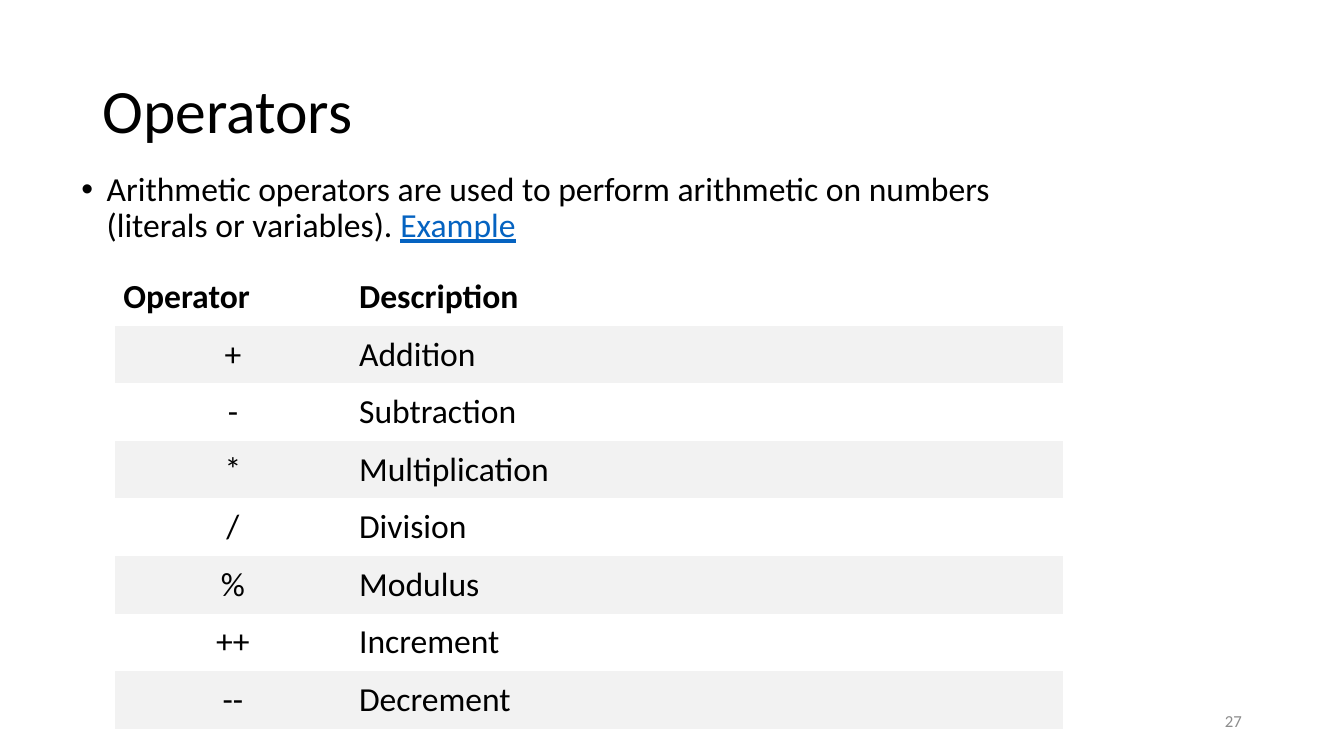
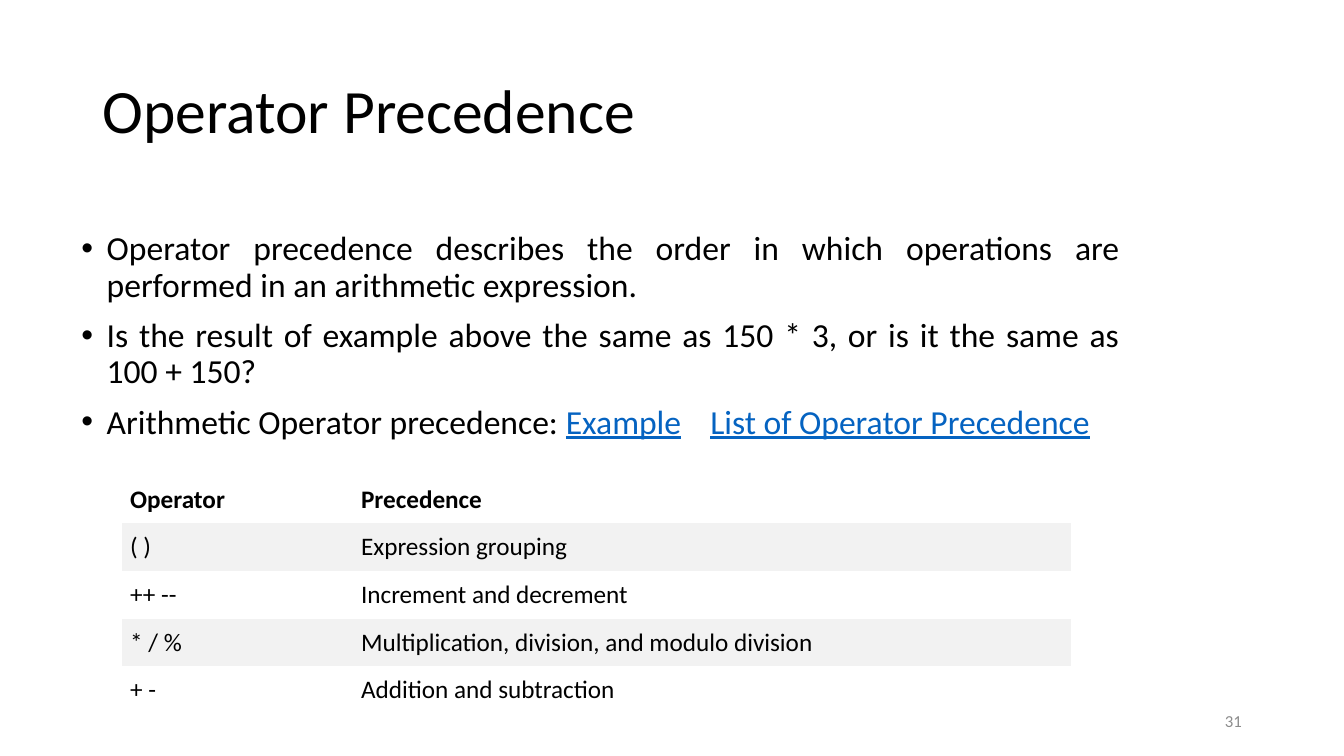
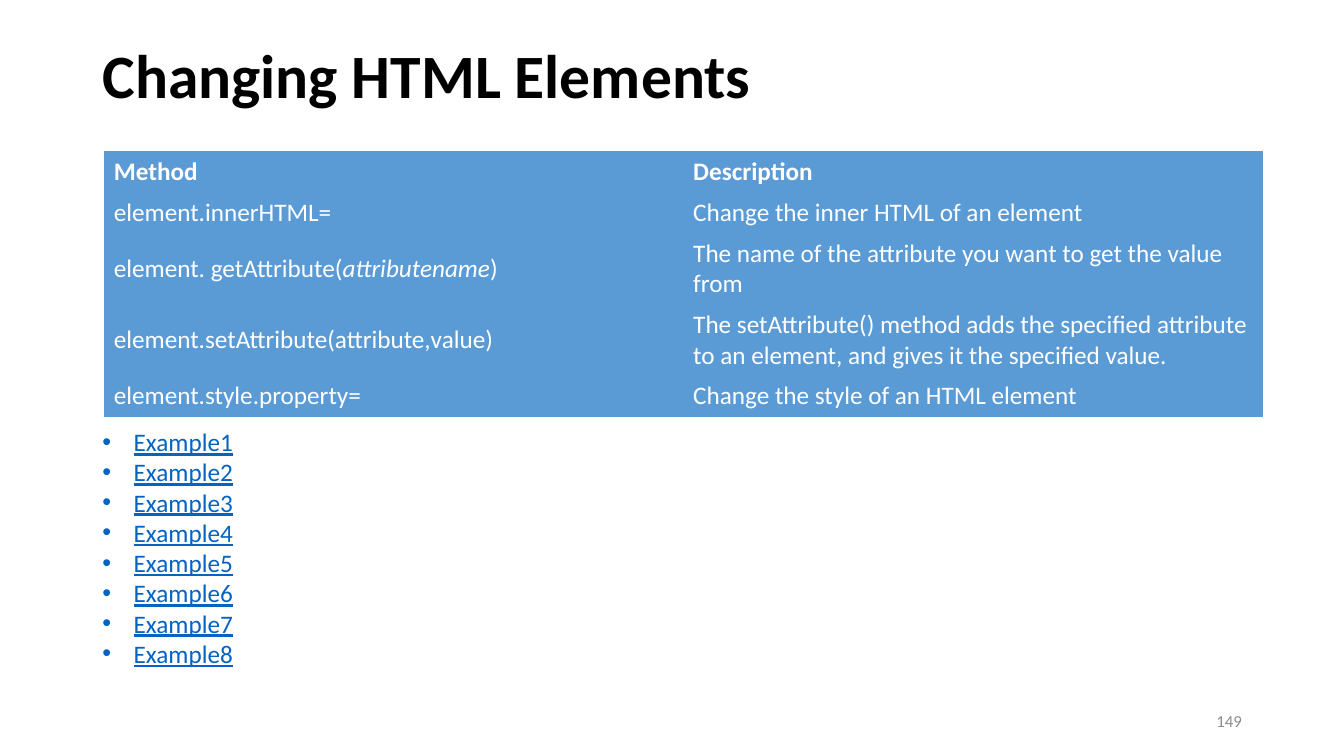
from dataclasses import dataclass
from typing import NamedTuple

import pptx
import pptx.dml.color
import pptx.enum.text
import pptx.oxml
import pptx.oxml.ns
import pptx.presentation
import pptx.slide
import pptx.text.text
import pptx.util

Cm = pptx.util.Cm
Pt = pptx.util.Pt
RGB = pptx.dml.color.RGBColor
Align = pptx.enum.text.PP_ALIGN
Anchor = pptx.enum.text.MSO_ANCHOR
qn = pptx.oxml.ns.qn


@dataclass(frozen=True)
class Theme:
    font: str = "Calibri"
    ink: RGB = RGB(0x00, 0x00, 0x00)
    paper: RGB = RGB(0xFF, 0xFF, 0xFF)
    band: RGB = RGB(0xF2, 0xF2, 0xF2)
    accent: RGB = RGB(0x5B, 0x9B, 0xD5)
    link: RGB = RGB(0x05, 0x63, 0xC1)
    muted: RGB = RGB(0x8C, 0x8C, 0x8C)
    title_size: int = 44
    large_size: int = 24
    small_size: int = 18
    number_size: int = 12
    tight: float = 0.9
    plain_table: str = "{2D5ABB26-0587-4C30-8999-92F81FD0307C}"


THEME = Theme()


class Box(NamedTuple):
    left: float
    top: float
    width: float
    height: float

    def lengths(self) -> list[pptx.util.Length]:
        return [Cm(value) for value in self]


class Span(NamedTuple):
    text: str
    link: bool = False
    italic: bool = False


Text = str | tuple[Span, ...]


@dataclass(frozen=True)
class BulletList:
    box: Box
    items: tuple[Text, ...]
    size: int = THEME.large_size
    indent: float = 0.64
    align: Align = Align.LEFT
    line_spacing: float = THEME.tight
    gap: int = 10
    tab_stop: float | None = None


@dataclass(frozen=True)
class TableSpec:
    left: float
    top: float
    columns: tuple[float, ...]
    row_heights: tuple[float, ...]
    rows: tuple[tuple[Text, ...], ...]
    size: int = THEME.small_size
    ink: RGB = THEME.ink
    fills: tuple[RGB, ...] = (THEME.paper, THEME.band)
    anchor: Anchor = Anchor.TOP
    margins: tuple[float, float] = (0.21, 0.21)
    symbol_align: Align = Align.LEFT


@dataclass(frozen=True)
class Page:
    title: str
    number: int
    table: TableSpec
    bullets: BulletList
    title_top: float = 1.01
    title_bold: bool = False


def write(paragraph: pptx.text.text._Paragraph, text: Text, size: int,
          color: RGB = THEME.ink, bold: bool = False) -> None:
    """Fill a paragraph; only links and italics are set on their runs."""
    font = paragraph.font
    font.name, font.size, font.bold = THEME.font, Pt(size), bold
    font.color.rgb = color
    for span in (Span(text),) if isinstance(text, str) else text:
        run = paragraph.add_run()
        run.text = span.text
        if span.link:
            run.font.underline = True
            run.font.color.rgb = THEME.link
        if span.italic:
            run.font.italic = True


def add_title(slide: pptx.slide.Slide, page: Page) -> None:
    title = slide.shapes.title
    title.left, title.top, title.width, title.height = Box(
        2.33, page.title_top, 29.21, 3.68).lengths()
    frame = title.text_frame
    frame.auto_size = pptx.enum.text.MSO_AUTO_SIZE.NONE
    frame.vertical_anchor = Anchor.MIDDLE
    paragraph = frame.paragraphs[0]
    paragraph.alignment = Align.LEFT
    paragraph.line_spacing = THEME.tight
    write(paragraph, page.title, THEME.title_size, bold=page.title_bold)


def add_frame(slide: pptx.slide.Slide, box: Box) -> pptx.text.text.TextFrame:
    frame = slide.shapes.add_textbox(*box.lengths()).text_frame
    frame.word_wrap = True
    return frame


def add_number(slide: pptx.slide.Slide, number: int) -> None:
    frame = add_frame(slide, Box(23.93, 17.65, 7.62, 1.01))
    frame.vertical_anchor = Anchor.MIDDLE
    paragraph = frame.paragraphs[0]
    paragraph.alignment = Align.RIGHT
    write(paragraph, str(number), THEME.number_size, THEME.muted)


def set_bullet(paragraph: pptx.text.text._Paragraph, indent: float,
               tab_stop: float | None) -> None:
    """Add a hanging bullet and, if asked for, one left tab stop."""
    properties = paragraph._p.get_or_add_pPr()
    properties.set("marL", str(Cm(indent)))
    properties.set("indent", str(-Cm(indent)))
    ns = pptx.oxml.ns.nsdecls("a")
    parts = [f'<a:buFont {ns} typeface="Arial"/>', f'<a:buChar {ns} char="•"/>']
    if tab_stop is not None:
        parts.append(f'<a:tabLst {ns}><a:tab pos="{Cm(tab_stop)}" algn="l"/></a:tabLst>')
    for part in parts:
        properties.append(pptx.oxml.parse_xml(part))


def add_bullets(slide: pptx.slide.Slide, bullets: BulletList) -> None:
    frame = add_frame(slide, bullets.box)
    for index, item in enumerate(bullets.items):
        paragraph = frame.add_paragraph() if index else frame.paragraphs[0]
        paragraph.alignment = bullets.align
        paragraph.line_spacing = bullets.line_spacing
        if index:
            paragraph.space_before = Pt(bullets.gap)
        set_bullet(paragraph, bullets.indent, bullets.tab_stop)
        write(paragraph, item, bullets.size)


def add_table(slide: pptx.slide.Slide, spec: TableSpec) -> None:
    box = Box(spec.left, spec.top, sum(spec.columns), sum(spec.row_heights))
    table = slide.shapes.add_table(
        len(spec.rows), len(spec.columns), *box.lengths()).table
    table.first_row = table.horz_banding = False
    table._tbl.tblPr.find(qn("a:tableStyleId")).text = THEME.plain_table
    for column, width in zip(table.columns, spec.columns):
        column.width = Cm(width)
    side, edge = map(Cm, spec.margins)
    for r, (texts, height) in enumerate(zip(spec.rows, spec.row_heights)):
        table.rows[r].height = Cm(height)
        for c, text in enumerate(texts):
            cell = table.cell(r, c)
            cell.fill.solid()
            cell.fill.fore_color.rgb = spec.fills[r % len(spec.fills)]
            cell.vertical_anchor = spec.anchor
            cell.margin_left = cell.margin_right = side
            cell.margin_top = cell.margin_bottom = edge
            paragraph = cell.text_frame.paragraphs[0]
            if r and c == 0:
                paragraph.alignment = spec.symbol_align
            write(paragraph, text, spec.size, spec.ink, bold=r == 0)


PAGES = (
    Page(
        title="Operators",
        number=27,
        bullets=BulletList(
            Box(1.8, 4.22, 26.11, 11.66),
            ((Span("Arithmetic operators are used to perform arithmetic on numbers "
                   "(literals or variables). "),
              Span("Example", link=True)),),
        ),
        table=TableSpec(
            2.9, 6.76, (5.94, 17.96), (1.45,) * 8,
            (("Operator", "Description"),
             ("+", "Addition"),
             ("-", "Subtraction"),
             ("*", "Multiplication"),
             ("/", "Division"),
             ("%", "Modulus"),
             ("++", "Increment"),
             ("--", "Decrement")),
            size=THEME.large_size,
            symbol_align=Align.CENTER,
        ),
    ),
    Page(
        title="Operator Precedence",
        number=31,
        bullets=BulletList(
            Box(1.8, 5.72, 26.67, 12.7),
            ("Operator precedence describes the order in which operations are "
             "performed in an arithmetic expression.",
             "Is the result of example above the same as 150 * 3, or is it the "
             "same as 100 + 150?",
             (Span("Arithmetic Operator precedence: "),
              Span("Example", link=True),
              Span("\t"),
              Span("List of Operator Precedence", link=True))),
            align=Align.JUSTIFY,
            tab_stop=15.85,
        ),
        table=TableSpec(
            3.07, 11.99, (5.82, 18.11), (1.2,) * 5,
            (("Operator", "Precedence"),
             ("( )", "Expression grouping"),
             ("++ --", "Increment and decrement"),
             ("* / %", "Multiplication, division, and modulo division"),
             ("+ -", "Addition and subtraction")),
        ),
    ),
    Page(
        title="Changing HTML Elements",
        number=149,
        title_top=0.13,
        title_bold=True,
        table=TableSpec(
            2.62, 3.81, (14.6, 14.6), (1.03, 1.03, 1.8, 1.8, 1.03),
            (("Method", "Description"),
             ("element.innerHTML=", "Change the inner HTML of an element"),
             ((Span("element. getAttribute("),
               Span("attributename", italic=True),
               Span(")")),
              "The name of the attribute you want to get the value from"),
             ("element.setAttribute(attribute,value)",
              "The setAttribute() method adds the specified attribute to an "
              "element, and gives it the specified value."),
             ("element.style.property=", "Change the style of an HTML element")),
            ink=THEME.paper,
            fills=(THEME.accent,),
            anchor=Anchor.MIDDLE,
            margins=(0.25, 0.13),
        ),
        bullets=BulletList(
            Box(2.33, 10.62, 29.49, 6.4),
            tuple((Span(f"Example{n}", link=True),) for n in range(1, 9)),
            size=THEME.small_size,
            indent=0.79,
            line_spacing=1.0,
            gap=0,
        ),
    ),
)


def add_page(deck: pptx.presentation.Presentation, page: Page) -> None:
    slide = deck.slides.add_slide(deck.slide_layouts.get_by_name("Title Only"))
    add_title(slide, page)
    add_bullets(slide, page.bullets)
    add_table(slide, page.table)
    add_number(slide, page.number)


def main() -> None:
    deck = pptx.Presentation()
    deck.slide_width, deck.slide_height = Cm(33.87), Cm(19.05)
    for page in PAGES:
        add_page(deck, page)
    deck.save("out.pptx")


if __name__ == "__main__":
    main()
